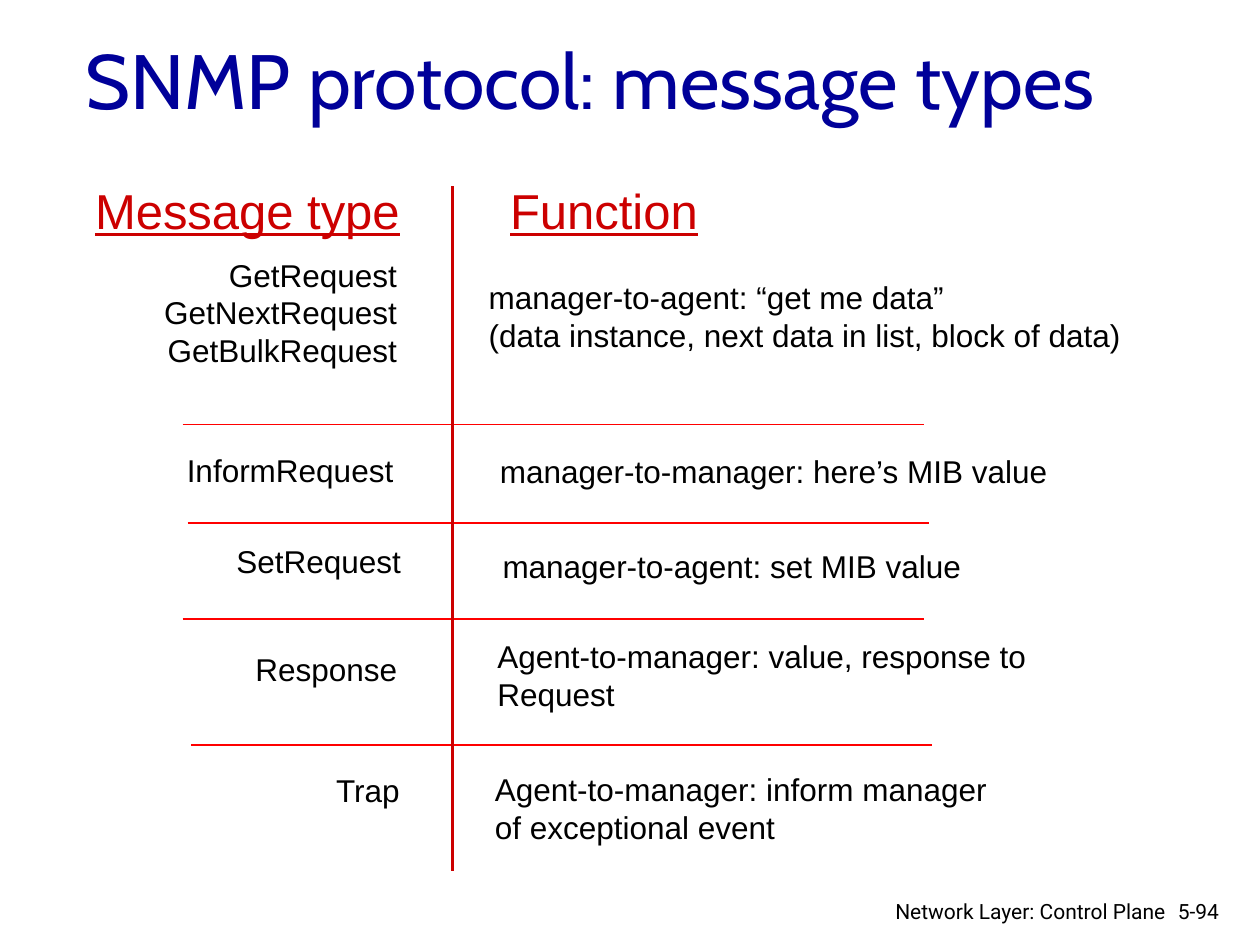
import pptx
import pptx.dml.color
import pptx.enum.shapes
import pptx.enum.text
import pptx.oxml.ns
import pptx.util
from lxml import etree
from pptx.util import Inches

RGBColor = pptx.dml.color.RGBColor
BLUE = RGBColor(0x00, 0x00, 0x99)
DARK_RED = RGBColor(0xCC, 0x00, 0x00)
RED = RGBColor(0xFF, 0x00, 0x00)
BLACK = RGBColor(0x00, 0x00, 0x00)

LEFT = pptx.enum.text.PP_ALIGN.LEFT
RIGHT = pptx.enum.text.PP_ALIGN.RIGHT

ROWS = [
    (["GetRequest", "GetNextRequest", "GetBulkRequest"], (0.55, 1.98, 2.7, 1.31),
     ["manager-to-agent: “get me data”",
      "(data instance, next data in list, block of data)"], (3.78, 2.16, 5.27, 0.71)),
    (["InformRequest"], (0.4, 3.53, 2.82, 0.5),
     ["manager-to-manager: here’s MIB value"], (3.87, 3.54, 4.93, 0.4)),
    (["SetRequest"], (0.46, 4.25, 2.82, 0.5),
     ["manager-to-agent: set MIB value"], (3.89, 4.29, 4.67, 0.4)),
    (["Response"], (0.43, 5.11, 2.82, 0.5),
     ["Agent-to-manager: value, response to", "Request"], (3.85, 5.01, 4.63, 0.71)),
    (["Trap"], (0.45, 6.07, 2.82, 0.5),
     ["Agent-to-manager: inform manager", "of exceptional event"], (3.83, 6.06, 5.24, 0.71)),
]
DIVIDER_WIDTH = 5.88
DIVIDERS = [(1.45, 3.37), (1.49, 4.15), (1.45, 4.91), (1.52, 5.91)]


def style_paragraph(para, size, name, color, align=LEFT):
    para.alignment = align
    para.font.size = pptx.util.Pt(size)
    para.font.name = name
    para.font.color.rgb = color


def add_title(page, text):
    title = page.shapes.title
    title.left, title.top = Inches(0.58), Inches(0)
    title.width, title.height = Inches(8.5), Inches(1.25)
    frame = title.text_frame
    frame.text = text
    frame.auto_size = pptx.enum.text.MSO_AUTO_SIZE.NONE
    frame.vertical_anchor = pptx.enum.text.MSO_ANCHOR.MIDDLE
    style_paragraph(frame.paragraphs[0], 44, "Cabin", BLUE)


def add_text(page, lines, bounds, align=LEFT, size=18, name="Arial", color=BLACK):
    box = page.shapes.add_textbox(*map(Inches, bounds))
    frame = box.text_frame
    frame.word_wrap = True
    frame.text = "\n".join(lines)
    for para in frame.paragraphs:
        style_paragraph(para, size, name, color, align)
    return box


def add_heading(page, text, bounds, align):
    box = add_text(page, [text], bounds, align, 28, color=DARK_RED)
    box.text_frame.paragraphs[0].font.underline = True


def add_line(page, start, end, color, width):
    line = page.shapes.add_connector(
        pptx.enum.shapes.MSO_CONNECTOR.STRAIGHT, *map(Inches, start + end))
    line.line.color.rgb = color
    line.line.width = pptx.util.Pt(width)
    properties = line._element.spPr
    etree.SubElement(properties, pptx.oxml.ns.qn("a:effectLst"))


def main():
    deck = pptx.Presentation()
    deck.slide_width, deck.slide_height = Inches(10), Inches(7.5)
    page = deck.slides.add_slide(deck.slide_layouts[5])

    add_title(page, "SNMP protocol: message types")
    add_heading(page, "Message type", (0.62, 1.38, 2.65, 0.57), RIGHT)
    add_heading(page, "Function", (3.95, 1.38, 1.71, 0.57), LEFT)
    for messages, message_bounds, function, function_bounds in ROWS:
        add_text(page, messages, message_bounds, RIGHT)
        add_text(page, function, function_bounds)
    for left, top in DIVIDERS:
        add_line(page, (left, top), (left + DIVIDER_WIDTH, top), RED, 1)
    add_line(page, (3.59, 1.48), (3.59, 6.91), DARK_RED, 2)
    add_text(page, ["5-94"], (9.25, 7.08, 0.6, 0.3), LEFT, 12, "Roboto")
    add_text(page, ["Network Layer: Control Plane"], (6.97, 7.08, 2.38, 0.26),
             RIGHT, 12, "Roboto")

    deck.save("out.pptx")


if __name__ == "__main__":
    main()
